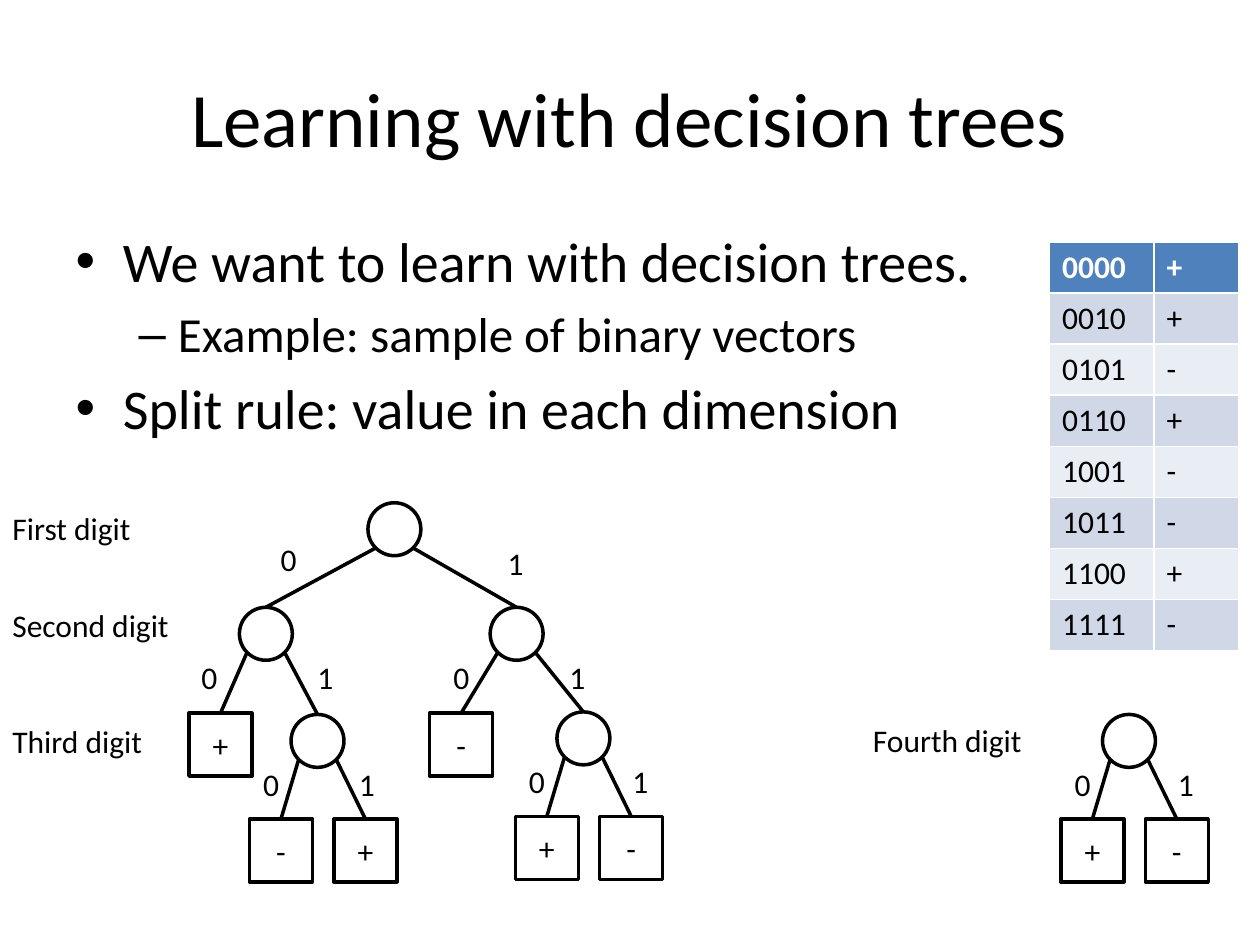
from pptx import Presentation
from pptx.dml.color import RGBColor
from pptx.enum.shapes import MSO_CONNECTOR, MSO_SHAPE
from pptx.enum.text import MSO_ANCHOR, PP_ALIGN
from pptx.oxml.ns import qn
from pptx.util import Inches, Pt
from lxml import etree

BLACK = RGBColor(0x00, 0x00, 0x00)
WHITE = RGBColor(0xFF, 0xFF, 0xFF)
HEAD = RGBColor(0x4F, 0x81, 0xBD)
BANDS = (RGBColor(0xE9, 0xED, 0xF4), RGBColor(0xD0, 0xD8, 0xE8))
OVAL, RECT = MSO_SHAPE.OVAL, MSO_SHAPE.RECTANGLE
LINE = MSO_CONNECTOR.STRAIGHT
CENTER, MIDDLE = PP_ALIGN.CENTER, MSO_ANCHOR.MIDDLE
FONT = "Calibri"
NODE, LEAF = 0.42, 0.5  # circle and square sizes

BULLETS = [
    ("We want to learn with decision trees.", 0, 32),
    ("Example: sample of binary vectors", 1, 28),
    ("Split rule: value in each dimension", 0, 32),
]
SAMPLE = [
    ("0000", "+"), ("0010", "+"), ("0101", "-"), ("0110", "+"),
    ("1001", "-"), ("1011", "-"), ("1100", "+"), ("1111", "-"),
]


def style(par, size=18, color=BLACK, bold=False):
    font = par.font
    font.name, font.size, font.bold = FONT, Pt(size), bold
    font.color.rgb = color


def place(shape, box):
    shape.left, shape.top, shape.width, shape.height = map(Inches, box)


def add_title(slide, box):
    title = slide.shapes.title
    place(title, box)
    title.text_frame.text = "Learning with decision trees"
    par = title.text_frame.paragraphs[0]
    par.alignment = CENTER
    style(par, 44)


def add_list(slide, box):
    body = slide.placeholders[1]
    place(body, box)
    frame = body.text_frame
    frame.text = "\n".join(text for text, _, _ in BULLETS)
    for par, (_, level, size) in zip(frame.paragraphs, BULLETS):
        par.level = level
        style(par, size)


def add_sample(slide, box):
    table = slide.shapes.add_table(len(SAMPLE), 2, *map(Inches, box)).table
    table.columns[0].width = Inches(0.83)
    table.columns[1].width = Inches(box[2] - 0.83)
    for r, row in enumerate(SAMPLE):
        for c, text in enumerate(row):
            cell = table.cell(r, c)
            cell.fill.solid()
            cell.fill.fore_color.rgb = BANDS[r % 2] if r else HEAD
            cell.text = text
            par = cell.text_frame.paragraphs[0]
            style(par, color=BLACK if r else WHITE, bold=r == 0)


def add_label(slide, x, y, text, width=0.33):
    box = slide.shapes.add_textbox(*map(Inches, (x, y, width, 0.4)))
    box.text_frame.word_wrap = False
    box.text_frame.text = text
    style(box.text_frame.paragraphs[0])


def add_node(slide, x, top, mark=""):
    """Draw a square for a marked leaf, else a circle, centred on x."""
    size = LEAF if mark else NODE
    node = slide.shapes.add_shape(
        RECT if mark else OVAL, *map(Inches, (x - size / 2, top, size, size)))
    node.shadow.inherit = False
    node.fill.background()
    node.line.color.rgb = BLACK
    node.line.width = Pt(2)
    if mark:
        frame = node.text_frame
        frame.vertical_anchor = MIDDLE
        frame.text = mark
        frame.paragraphs[0].alignment = CENTER
        style(frame.paragraphs[0])


def add_edge(slide, *ends):
    edge = slide.shapes.add_connector(LINE, *map(Inches, ends))
    edge.line.color.rgb = BLACK
    edge.line.width = Pt(2)
    etree.SubElement(edge._element.spPr, qn("a:effectLst"))


def add_split(slide, x, top, kids, spots):
    """Draw a circle, edges to both kids (x, top) and digits at spots."""
    add_node(slide, x, top)
    for digit, side, kid, spot in zip("01", (-0.15, 0.15), kids, spots):
        add_edge(slide, x + side, top + 0.36, *kid)
        add_label(slide, *spot, digit)


def add_stump(slide, x, top, marks, right=0.29):
    """Draw a split with two leaves; right is the offset of its digit 1."""
    kids = [(x - 0.29, top + 0.83), (x + 0.38, top + 0.83)]
    spots = [(x - 0.53, top + 0.35), (x + right, top + 0.35)]
    add_split(slide, x, top, kids, spots)
    for kid, mark in zip(kids, marks):
        add_node(slide, *kid, mark)


def add_tree(slide, left, top):
    def at(x, y):
        return left + x, top + y

    # First and second digit
    low, high = at(0.61, 0.83), at(2.6, 0.83)
    add_split(slide, *at(1.63, 0), (low, high), (at(0.63, 0.25), at(2.43, 0.28)))
    plus, minus = at(0.25, 1.67), at(2.16, 1.67)
    inner, outer = at(1.02, 1.68), at(3.13, 1.66)
    add_split(slide, *low, (plus, inner), (at(0, 1.18), at(0.92, 1.18)))
    add_split(slide, *high, (minus, outer), (at(2, 1.18), at(2.92, 1.18)))
    add_node(slide, *plus, "+")
    add_node(slide, *minus, "-")

    # Third digit
    add_stump(slide, *inner, "-+", 0.23)
    add_stump(slide, *outer, "+-")

    # Level names
    for y, name, width in ((0, "First digit", 1.15),
                           (0.77, "Second digit", 1.46),
                           (1.69, "Third digit", 1.24)):
        add_label(slide, left - 1.5, top + y, name, width)


def add_fourth(slide, left, top):
    add_label(slide, left, top, "Fourth digit", 1.4)
    add_stump(slide, left + 2.13, top, "+-")


def main():
    deck = Presentation()
    deck.slide_width, deck.slide_height = Inches(10), Inches(7.5)
    slide = deck.slides.add_slide(deck.slide_layouts[1])
    add_title(slide, (0.5, 0.3, 9, 1.25))
    add_list(slide, (0.5, 1.75, 9, 4.95))
    add_sample(slide, (8.33, 1.92, 1.5, 3.24))
    add_tree(slide, 1.5, 3.99)
    add_fourth(slide, 6.83, 5.67)
    deck.save("out.pptx")


if __name__ == "__main__":
    main()
